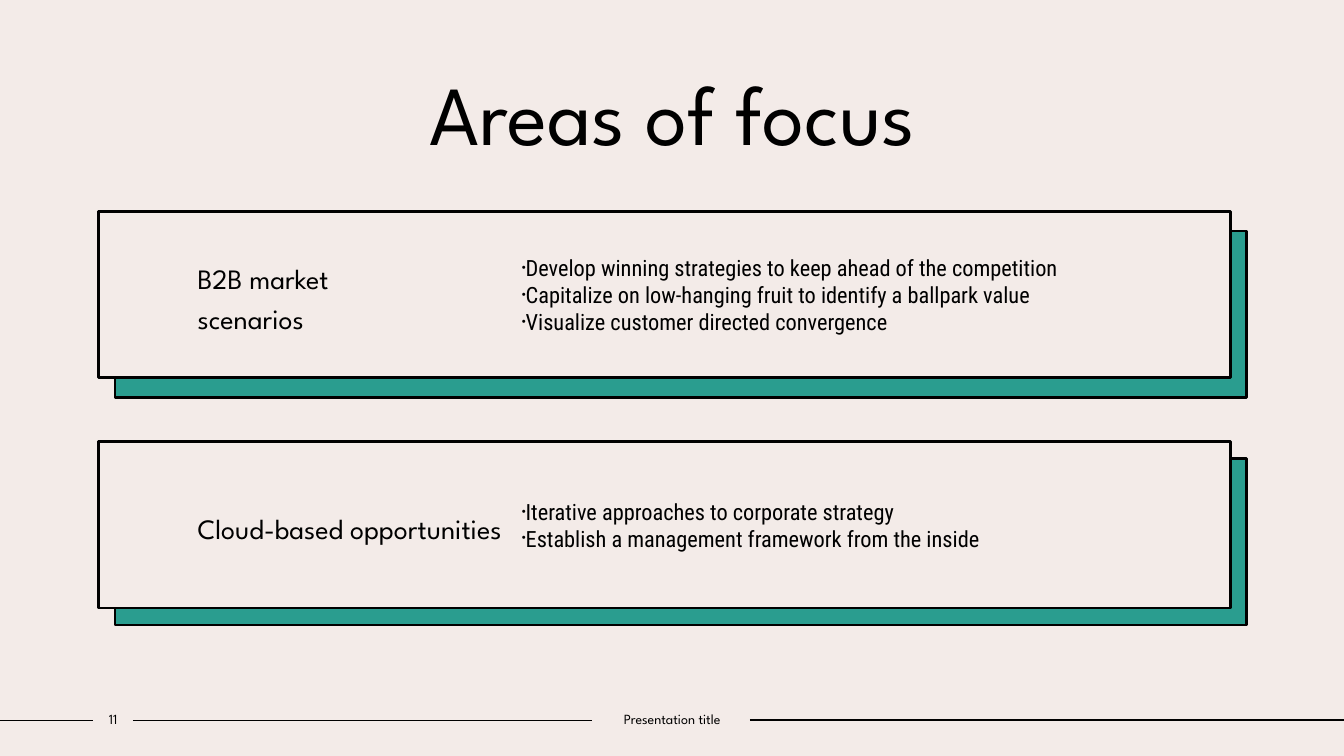
"""Build the "Areas of focus" slide with two shadowed cards."""
from lxml.etree import SubElement
from pptx import Presentation
from pptx.dml.color import RGBColor
from pptx.enum.shapes import MSO_CONNECTOR, MSO_SHAPE
from pptx.enum.text import MSO_ANCHOR, MSO_AUTO_SIZE, PP_ALIGN
from pptx.oxml.ns import qn
from pptx.util import Cm, Pt

BLACK = RGBColor(0x00, 0x00, 0x00)
CREAM = RGBColor(0xF3, 0xEB, 0xE8)
TEAL = RGBColor(0x2A, 0x9D, 0x8F)
HEADING_FONT = "League Spartan"
BODY_FONT = "Roboto Condensed"
CARD_WIDTH, CARD_HEIGHT = Cm(28.52), Cm(4.19)


def write(box, lines, font=HEADING_FONT, size=10, align=PP_ALIGN.LEFT,
          spacing=1.0, side_insets=(0.25, 0.25), bullets=False):
    frame = box.text_frame
    frame.word_wrap = True
    frame.auto_size = MSO_AUTO_SIZE.NONE
    frame.vertical_anchor = MSO_ANCHOR.MIDDLE
    frame.margin_left, frame.margin_right = map(Cm, side_insets)
    frame.margin_top = frame.margin_bottom = Cm(0.13)
    frame.text = "\n".join(lines)
    for para in frame.paragraphs:
        if bullets:
            props = para._p.get_or_add_pPr()
            props.set("marL", "0")
            props.set("indent", str(-Cm(0.38)))
            SubElement(props, qn("a:buSzPct"), val="50000")
            SubElement(props, qn("a:buFont"), typeface="Arial")
            SubElement(props, qn("a:buChar"), char="•")
        para.alignment = align
        para.line_spacing = spacing
        para.space_before = Pt(0)
        for span in para.runs:
            span.font.name = font
            span.font.size = Pt(size)
            span.font.bold = False
            span.font.color.rgb = BLACK


def place(box, left, top, width, height):
    box.left, box.top, box.width, box.height = left, top, width, height


deck = Presentation()
deck.slide_width, deck.slide_height = Cm(33.87), Cm(19.05)
page = deck.slides.add_slide(deck.slide_layouts.get_by_name("Comparison"))
page.background.fill.solid()
page.background.fill.fore_color.rgb = CREAM

title = page.shapes.title
place(title, Cm(3.18), Cm(1.42), Cm(27.53), Cm(2.82))
write(title, ["Areas of focus"], size=60, align=PP_ALIGN.CENTER)

cards = [
    (5.33, 5.82, "B2B market \vscenarios", [
        "Develop winning strategies to keep ahead of the competition",
        "Capitalize on low-hanging fruit to identify a ballpark value",
        "Visualize customer directed convergence"]),
    (11.13, 11.56, "Cloud-based opportunities", [
        "Iterative approaches to corporate strategy",
        "Establish a management framework from the inside"]),
]
for number, (top, shadow_top, heading, points) in enumerate(cards):
    shadow = page.shapes.add_shape(MSO_SHAPE.RECTANGLE, Cm(2.9), Cm(shadow_top),
                                   CARD_WIDTH, CARD_HEIGHT)
    shadow.shadow.inherit = False
    title._element.addprevious(shadow._element)

    card = page.placeholders[2 * number + 1]
    place(card, Cm(2.49), Cm(top), CARD_WIDTH, CARD_HEIGHT)
    write(card, [heading], size=20, spacing=1.2, side_insets=(2.49, 18.03))

    for box, colour in ((shadow, TEAL), (card, CREAM)):
        box.fill.solid()
        box.fill.fore_color.rgb = colour
        box.line.color.rgb = BLACK
        box.line.width = Pt(2)

    details = page.placeholders[2 * number + 2]
    place(details, Cm(12.9), Cm(top + 0.25), Cm(17.81), Cm(3.68))
    write(details, points, font=BODY_FONT, size=16, bullets=True)

for start, end, height in ((0, 2.34, 18.16), (3.35, 14.91, 18.16), (18.9, 33.87, 18.14)):
    rule = page.shapes.add_connector(MSO_CONNECTOR.STRAIGHT, Cm(start), Cm(height),
                                     Cm(end), Cm(height))
    rule.line.color.rgb = BLACK
    rule.line.width = Pt(1)
    SubElement(rule._element.spPr, qn("a:effectLst"))

for left, width, text in ((2.34, 1.02, "11"), (14.91, 4.06, "Presentation title")):
    label = page.shapes.add_textbox(Cm(left), Cm(17.78), Cm(width), Cm(0.69))
    write(label, [text], align=PP_ALIGN.CENTER, side_insets=(0, 0))

deck.save("out.pptx")
